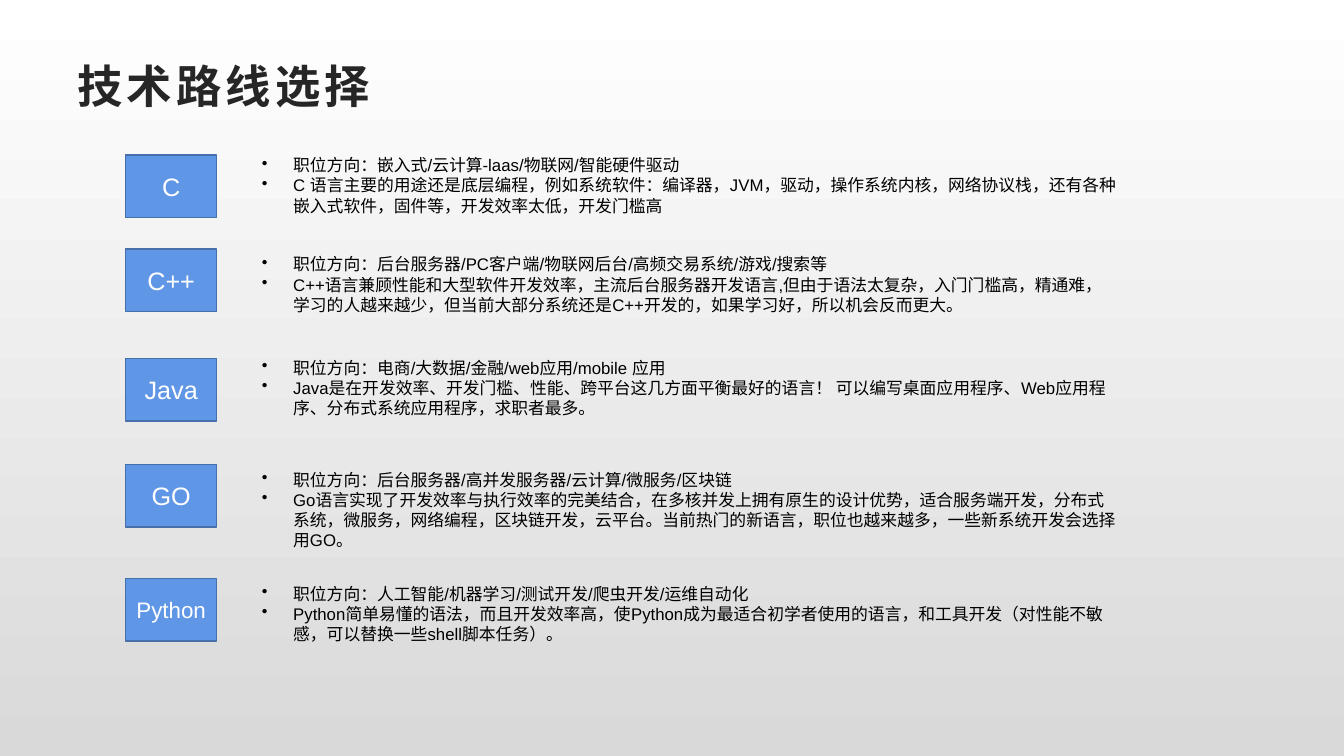
import pptx
import pptx.util
import pptx.dml.color
import pptx.enum.lang
import pptx.enum.shapes
import pptx.enum.text
import pptx.oxml
import pptx.oxml.ns

Cm = pptx.util.Cm
Pt = pptx.util.Pt
ALIGN = pptx.enum.text.PP_ALIGN
ANCHOR = pptx.enum.text.MSO_ANCHOR


def rgb(value):
    return pptx.dml.color.RGBColor.from_string(value)


class Deck:
    font = "Arial"
    ink, title_ink, white = "000000", "262626", "FFFFFF"
    fill, line, bg_end = "6096E6", "476FAA", "D9D9D9"
    indent = Cm(0.79)

    def __init__(self, prs):
        self.s = prs.slides.add_slide(prs.slide_layouts[6])

    def background(self):
        fill = self.s.background.fill
        fill.gradient()
        fill.gradient_angle = 270
        for stop, color in zip(fill.gradient_stops, (self.white, self.bg_end)):
            stop.color.rgb = rgb(color)

    def run(self, p, text, size, color, bold=False):
        r = p.add_run()
        r.text = text
        f = r.font
        f.name, f.size, f.bold = self.font, Pt(size), bold
        f.color.rgb = rgb(color)
        f.language_id = pptx.enum.lang.MSO_LANGUAGE_ID.SIMPLIFIED_CHINESE
        return r

    def text_frame(self, x, y, w, h):
        tf = self.s.shapes.add_textbox(Cm(x), Cm(y), Cm(w), Cm(h)).text_frame
        tf.word_wrap = True
        return tf

    def title(self, text, x, y, w, h):
        tf = self.text_frame(x, y, w, h)
        tf.vertical_anchor = ANCHOR.MIDDLE
        r = self.run(tf.paragraphs[0], text, 32.4, self.title_ink, bold=True)
        r.font._element.set("spc", "300")

    def label(self, text, size, x, y, w, h):
        sp = self.s.shapes.add_shape(pptx.enum.shapes.MSO_SHAPE.RECTANGLE,
                                     Cm(x), Cm(y), Cm(w), Cm(h))
        sp.shadow.inherit = False
        sp.fill.solid()
        sp.fill.fore_color.rgb = rgb(self.fill)
        sp.line.color.rgb = rgb(self.line)
        sp.line.width = Pt(1)
        tf = sp.text_frame
        tf.word_wrap = False
        tf.vertical_anchor = ANCHOR.MIDDLE
        p = tf.paragraphs[0]
        p.alignment = ALIGN.CENTER
        self.run(p, text, size, self.white)

    def bullets(self, items, x, y, w, h):
        tf = self.text_frame(x, y, w, h)
        for i, text in enumerate(items):
            p = tf.add_paragraph() if i else tf.paragraphs[0]
            pPr = p._p.get_or_add_pPr()
            pPr.set("marL", str(self.indent))
            pPr.set("indent", str(-self.indent))
            bu = pptx.oxml.parse_xml(
                f'<a:buChar {pptx.oxml.ns.nsdecls("a")} char="•"/>')
            pPr.append(bu)
            self.run(p, text, 12, self.ink)


# Label, label size, label top, text top, text height, bullets
LANGUAGES = [
    ("C", 18, 3.91, 3.78, 1.8, [
        "职位方向：嵌入式/云计算-laas/物联网/智能硬件驱动",
        "C 语言主要的用途还是底层编程，例如系统软件：编译器，JVM，驱动，操作系统内核，"
        "网络协议栈，还有各种嵌入式软件，固件等，开发效率太低，开发门槛高"]),
    ("C++", 18, 6.28, 6.28, 1.8, [
        "职位方向：后台服务器/PC客户端/物联网后台/高频交易系统/游戏/搜索等",
        "C++语言兼顾性能和大型软件开发效率，主流后台服务器开发语言,但由于语法太复杂，"
        "入门门槛高，精通难，学习的人越来越少，但当前大部分系统还是C++开发的，"
        "如果学习好，所以机会反而更大。"]),
    ("Java", 18, 9.04, 8.89, 1.8, [
        "职位方向：电商/大数据/金融/web应用/mobile 应用",
        "Java是在开发效率、开发门槛、性能、跨平台这几方面平衡最好的语言！ "
        "可以编写桌面应用程序、Web应用程序、分布式系统应用程序，求职者最多。"]),
    ("GO", 18, 11.71, 11.71, 2.31, [
        "职位方向：后台服务器/高并发服务器/云计算/微服务/区块链",
        "Go语言实现了开发效率与执行效率的完美结合，在多核并发上拥有原生的设计优势，"
        "适合服务端开发，分布式系统，微服务，网络编程，区块链开发，云平台。"
        "当前热门的新语言，职位也越来越多，一些新系统开发会选择用GO。"]),
    ("Python", 16, 14.58, 14.58, 1.8, [
        "职位方向：人工智能/机器学习/测试开发/爬虫开发/运维自动化",
        "Python简单易懂的语法，而且开发效率高，使Python成为最适合初学者使用的语言，"
        "和工具开发（对性能不敏感，可以替换一些shell脚本任务）。"]),
]


def main():
    prs = pptx.Presentation()
    prs.slide_width, prs.slide_height = Cm(33.87), Cm(19.05)
    deck = Deck(prs)

    # Background and title
    deck.background()
    deck.title("技术路线选择", 1.7, 1.17, 30.48, 1.96)

    # One row per language
    for name, size, label_y, text_y, text_h, items in LANGUAGES:
        deck.label(name, size, 3.17, label_y, 2.29, 1.57)
        deck.bullets(items, 6.35, text_y, 22.1, text_h)

    prs.save("out.pptx")


if __name__ == "__main__":
    main()
